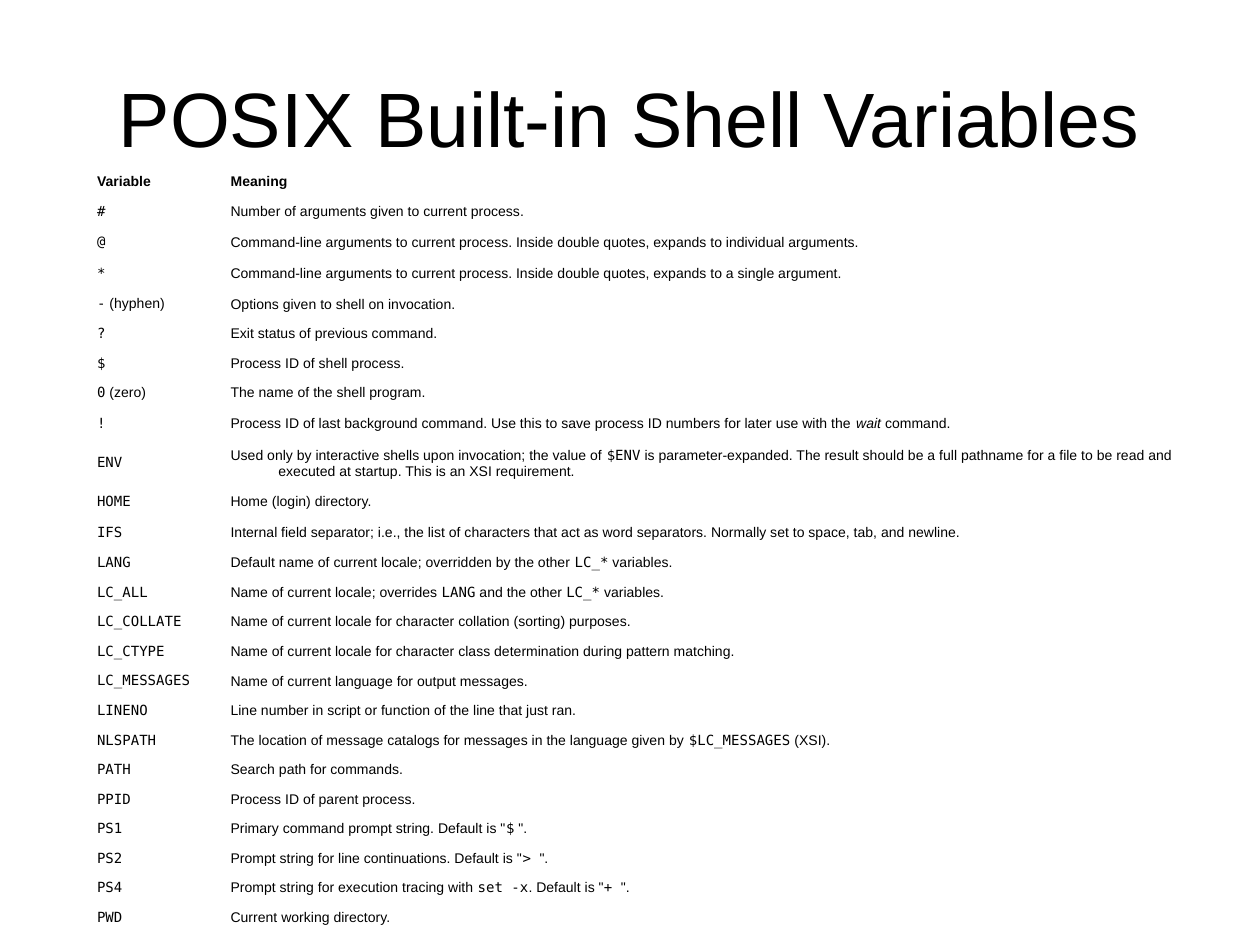
from pptx import Presentation
from pptx import util as u
from pptx.dml import color
from pptx.enum import text

WIDTH, HEIGHT = 10, 7.5
SANS, MONO = "Arial", "DejaVu Sans Mono"
BLACK = "000000"
NO_GRID_STYLE = "{2D5ABB26-0587-4C30-8999-92F81FD0307C}"
HANGING = 0.38
TABLE_BOX = (0.067, 0.177, 0.906, 0.81)
COLUMN_SHARES = (0.117, 0.883)
SPECIAL_ROWS = {2: 0.25, 3: 0.25, 8: 0.25, 9: 0.38, 11: 0.25}

# Backticks mark monospaced text, tildes mark italics.
ROWS = [
    ("Variable", "Meaning"),
    ("`#`", "Number of arguments given to current process."),
    ("`@`", "Command-line arguments to current process. Inside double quotes, "
            "expands to individual arguments."),
    ("`*`", "Command-line arguments to current process. Inside double quotes, "
            "expands to a single argument."),
    ("`-` (hyphen)", "Options given to shell on invocation."),
    ("`?`", "Exit status of previous command."),
    ("`$`", "Process ID of shell process."),
    ("`0` (zero)", "The name of the shell program."),
    ("`!`", "Process ID of last background command. Use this to save process ID "
            "numbers for later use with the ~wait~ command."),
    ("`ENV`", "Used only by interactive shells upon invocation; the value of `$ENV` "
              "is parameter-expanded. The result should be a full pathname for a file "
              "to be read and executed at startup. This is an XSI requirement."),
    ("`HOME`", "Home (login) directory."),
    ("`IFS`", "Internal field separator; i.e., the list of characters that act as "
              "word separators. Normally set to space, tab, and newline."),
    ("`LANG`", "Default name of current locale; overridden by the other `LC_*` variables."),
    ("`LC_ALL`", "Name of current locale; overrides `LANG` and the other `LC_*` variables."),
    ("`LC_COLLATE`", "Name of current locale for character collation (sorting) purposes."),
    ("`LC_CTYPE`", "Name of current locale for character class determination during "
                   "pattern matching."),
    ("`LC_MESSAGES`", "Name of current language for output messages."),
    ("`LINENO`", "Line number in script or function of the line that just ran."),
    ("`NLSPATH`", "The location of message catalogs for messages in the language given "
                  "by `$LC_MESSAGES` (XSI)."),
    ("`PATH`", "Search path for commands."),
    ("`PPID`", "Process ID of parent process."),
    ("`PS1`", 'Primary command prompt string. Default is "`$` ".'),
    ("`PS2`", 'Prompt string for line continuations. Default is "`> `".'),
    ("`PS4`", 'Prompt string for execution tracing with `set -x`. Default is "`+ `".'),
    ("`PWD`", "Current working directory."),
]


def place(x, y, w, h):
    """Turn shares of the slide's size into lengths."""
    return [u.Inches(share * size)
            for share, size in zip((x, y, w, h), (WIDTH, HEIGHT) * 2)]


def set_all(obj, values):
    """Set attributes from a dict."""
    for name, value in values.items():
        setattr(obj, name, value)


def add_run(p, words, hex_color=BLACK, **font):
    """Append a formatted run to a paragraph."""
    r = p.add_run()
    r.text = words
    set_all(r.font, font)
    r.font.color.rgb = color.RGBColor.from_string(hex_color)


def add_marked_text(p, marked, **font):
    """Append runs, reading the marks for monospaced and italic words."""
    for i, part in enumerate(marked.split("`")):
        for j, words in enumerate(part.split("~")):
            if words:
                add_run(p, words, name=MONO if i % 2 else SANS,
                        italic=j % 2 == 1, **font)


def add_title(slide, words):
    """Fill and move the title placeholder."""
    sp = slide.shapes.title
    box = place(0.05, 0.04, 0.9, 0.167)
    set_all(sp, dict(zip(("left", "top", "width", "height"), box)))
    set_all(sp.text_frame, {"vertical_anchor": text.MSO_ANCHOR.MIDDLE,
                            "word_wrap": True,
                            "auto_size": text.MSO_AUTO_SIZE.NONE})
    p = sp.text_frame.paragraphs[0]
    p.alignment = text.PP_ALIGN.CENTER
    add_run(p, words, name=SANS, size=u.Pt(44))


def fill_cell(cell, marked, bold):
    """Write one plain table cell with a hanging indent."""
    cell.fill.background()
    set_all(cell, {"vertical_anchor": text.MSO_ANCHOR.MIDDLE,
                   "margin_left": u.Inches(0.1), "margin_right": u.Inches(0.1),
                   "margin_top": u.Inches(0.05), "margin_bottom": u.Inches(0.05)})
    p = cell.text_frame.paragraphs[0]
    pPr = p._p.get_or_add_pPr()
    pPr.set("marL", str(u.Inches(HANGING)))
    pPr.set("indent", str(-u.Inches(HANGING)))
    add_marked_text(p, marked, size=u.Pt(8), bold=bold)


def add_variable_table(slide, rows):
    """Add the borderless table of variables and meanings."""
    box = place(*TABLE_BOX)
    table = slide.shapes.add_table(len(rows), len(COLUMN_SHARES), *box).table
    set_all(table, {"first_row": False, "horz_banding": False})
    table._tbl.tblPr[0].text = NO_GRID_STYLE
    for column, share in zip(table.columns, COLUMN_SHARES):
        column.width = int(box[2] * share)
    rest = TABLE_BOX[3] * HEIGHT - sum(SPECIAL_ROWS.values())
    plain = rest / (len(rows) - len(SPECIAL_ROWS))
    for i, row in enumerate(rows):
        table.rows[i].height = u.Inches(SPECIAL_ROWS.get(i, plain))
        for j, marked in enumerate(row):
            fill_cell(table.cell(i, j), marked, bold=i == 0)


def main():
    """Build the slide."""
    prs = Presentation()
    set_all(prs, {"slide_width": u.Inches(WIDTH), "slide_height": u.Inches(HEIGHT)})
    slide = prs.slides.add_slide(prs.slide_layouts[5])
    add_title(slide, "POSIX Built-in Shell Variables")
    add_variable_table(slide, ROWS)
    prs.save("out.pptx")


main()
